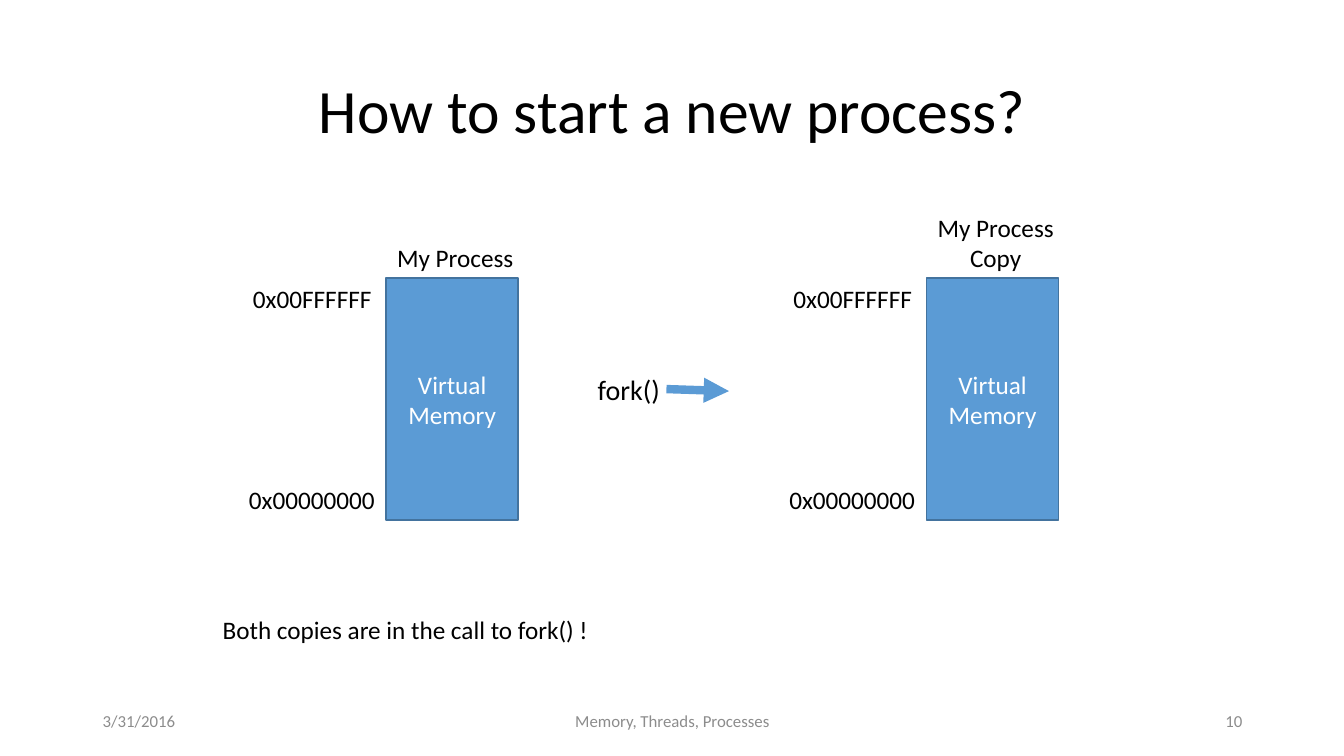
from dataclasses import dataclass

from lxml import etree
from pptx import Presentation
from pptx.dml.color import RGBColor
from pptx.enum.shapes import MSO_CONNECTOR, MSO_SHAPE
from pptx.enum.text import MSO_ANCHOR, PP_ALIGN
from pptx.oxml.ns import qn
from pptx.util import Inches, Pt

LEFT, MID, RIGHT = PP_ALIGN.LEFT, PP_ALIGN.CENTER, PP_ALIGN.RIGHT
TOP, CENTER = MSO_ANCHOR.TOP, MSO_ANCHOR.MIDDLE
RECT, STRAIGHT = MSO_SHAPE.RECTANGLE, MSO_CONNECTOR.STRAIGHT


@dataclass(frozen=True)
class Theme:
    font: str = "Calibri"
    ink: str = "000000"
    paper: str = "FFFFFF"
    blue: str = "5B9BD5"
    edge: str = "43739E"
    gray: str = "8C8C8C"
    title: int = 44
    call: int = 20
    body: int = 18
    foot: int = 12


THEME = Theme()


def color(code):
    return RGBColor.from_string(code)


def write(frame, text, size=THEME.body, ink=THEME.ink, align=LEFT,
          anchor=TOP, wrap=True, space=None):
    """Fill a text frame, one paragraph per line of text."""
    frame.word_wrap = wrap
    frame.vertical_anchor = anchor
    for i, line in enumerate(text.split("\n")):
        para = frame.add_paragraph() if i else frame.paragraphs[0]
        para.alignment = align
        if space:
            para.line_spacing = space
        run = para.add_run()
        run.text = line
        run.font.name = THEME.font
        run.font.size = Pt(size)
        run.font.color.rgb = color(ink)


def label(slide, text, x, y, w, h=0.4, **style):
    box = slide.shapes.add_textbox(Inches(x), Inches(y), Inches(w), Inches(h))
    write(box.text_frame, text, **style)


def block(slide, text, x, y, w, h):
    box = slide.shapes.add_shape(RECT, Inches(x), Inches(y), Inches(w), Inches(h))
    box.shadow.inherit = False
    box.fill.solid()
    box.fill.fore_color.rgb = color(THEME.blue)
    box.line.color.rgb = color(THEME.edge)
    box.line.width = Pt(1)
    write(box.text_frame, text, ink=THEME.paper, align=MID, anchor=CENTER)


def arrow(slide, x1, y1, x2, y2):
    link = slide.shapes.add_connector(
        STRAIGHT, Inches(x1), Inches(y1), Inches(x2), Inches(y2))
    link.line.color.rgb = color(THEME.blue)
    link.line.width = Pt(6)
    etree.SubElement(link.line._get_or_add_ln(), qn("a:tailEnd"), type="triangle")
    etree.SubElement(link._element.spPr, qn("a:effectLst"))


def process(slide, name, x):
    """Draw a memory block with its name above and address range at left."""
    top, tall = 2.76, 2.4
    block(slide, "Virtual Memory", x, top, 1.31, tall)
    high = 0.1 + 0.3 * len(name.split("\n"))
    label(slide, name, x, top - high, 1.37, high, align=MID, wrap=False)
    label(slide, "0x00FFFFFF", x - 1.42, top, 1.39, wrap=False)
    label(slide, "0x00000000", x - 1.46, top + tall - 0.4, 1.46, wrap=False)


def footer(slide):
    for text, x, w, align in (
        ("3/31/2016", 0.92, 3, LEFT),
        ("Memory, Threads, Processes", 4.42, 4.5, MID),
        ("10", 9.42, 3, RIGHT),
    ):
        label(slide, text, x, 6.95, w, size=THEME.foot, ink=THEME.gray,
              align=align, anchor=CENTER)


def main():
    deck = Presentation()
    deck.slide_width, deck.slide_height = Inches(13.33), Inches(7.5)
    slide = deck.slides.add_slide(deck.slide_layouts[6])
    label(slide, "How to start a new process?", 0.92, 0.4, 11.5, 1.45,
          size=THEME.title, align=MID, anchor=CENTER, space=0.9)
    process(slide, "My Process", 3.83)
    process(slide, "My Process\nCopy", 9.19)
    label(slide, "fork()", 5.83, 3.65, 0.83, 0.44, size=THEME.call, wrap=False)
    arrow(slide, 6.61, 3.86, 7.23, 3.88)
    label(slide, "Both copies are in the call to fork() !", 2.11, 6.05, 8.2)
    footer(slide)
    deck.save("out.pptx")


if __name__ == "__main__":
    main()
